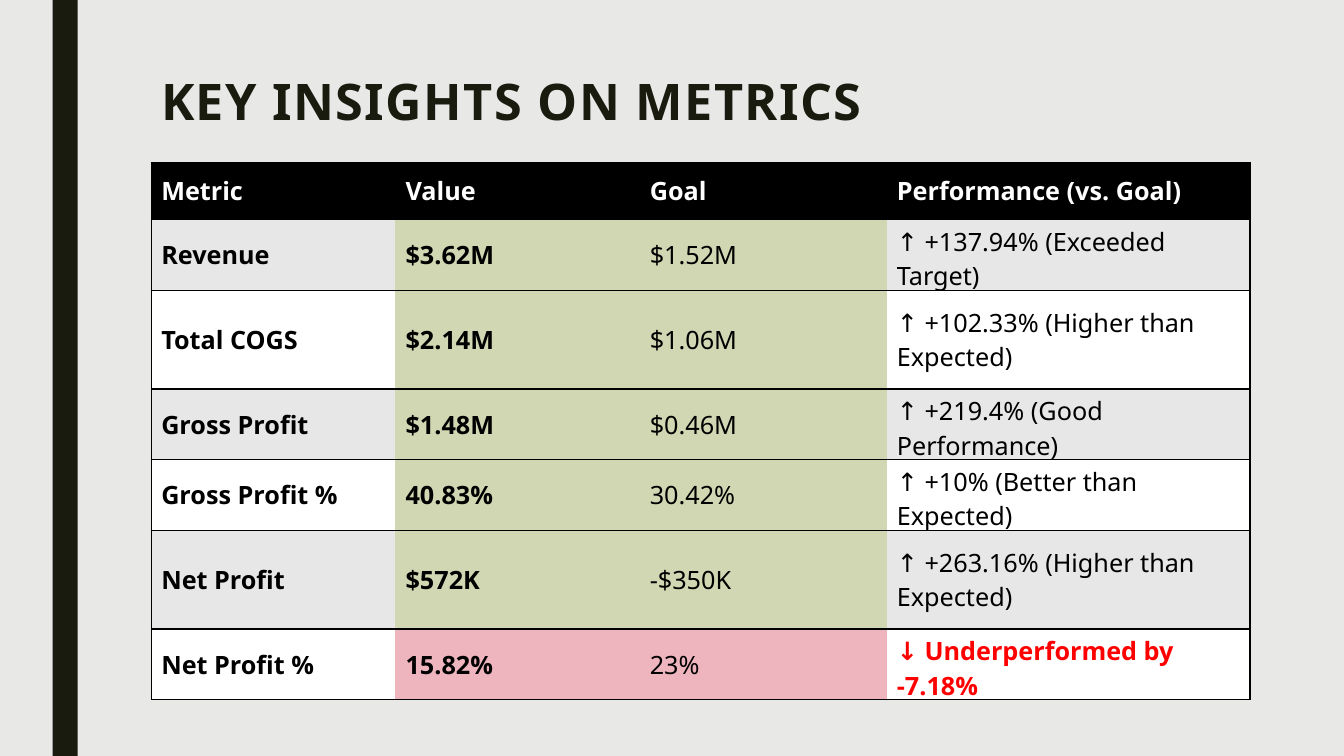
"""Build the key insights slide with its table of metrics against goals."""
from typing import NamedTuple

from lxml.etree import SubElement
from pptx import Presentation
from pptx.dml.color import RGBColor
from pptx.enum.shapes import MSO_SHAPE
from pptx.enum.text import MSO_ANCHOR
from pptx.oxml.ns import qn
from pptx.util import Pt

COLORS = {
    "background": "E8E8E7",
    "dark": "191B0E",
    "black": "000000",
    "white": "FFFFFF",
    "band": "E7E7E7",
    "good": "D1D7B2",
    "bad": "EEB5BF",
    "alert": "FF0000",
}
FONT_NAME = "Noto Sans"
COLUMN_WIDTHS = (174.5, 174.5, 176.5, 259.5)
ROW_HEIGHTS = (41, 41, 70.5, 41, 41, 70.5, 43)
HEADINGS = ("Metric", "Value", "Goal", "Performance (vs. Goal)")


class Metric(NamedTuple):
    name: str
    value: str
    goal: str
    performance: str
    on_target: bool = True


METRICS = (
    Metric("Revenue", "$3.62M", "$1.52M", "↑ +137.94% (Exceeded Target)"),
    Metric("Total COGS", "$2.14M", "$1.06M", "↑ +102.33% (Higher than Expected)"),
    Metric("Gross Profit", "$1.48M", "$0.46M", "↑ +219.4% (Good Performance)"),
    Metric("Gross Profit %", "40.83%", "30.42%", "↑ +10% (Better than Expected)"),
    Metric("Net Profit", "$572K", "-$350K", "↑ +263.16% (Higher than Expected)"),
    Metric("Net Profit %", "15.82%", "23%", "↓ Underperformed by -7.18%", False),
)


def rgb(name: str) -> RGBColor:
    return RGBColor.from_string(COLORS[name])


def set_fill(target, color: str) -> None:
    target.fill.solid()
    target.fill.fore_color.rgb = rgb(color)


def set_attributes(target, values: dict) -> None:
    for name, value in values.items():
        setattr(target, name, value)


def write_text(paragraph, text: str, size: float, color: str, bold: bool):
    run = paragraph.add_run()
    run.text = text
    set_attributes(run.font, {"name": FONT_NAME, "size": Pt(size), "bold": bold})
    run.font.color.rgb = rgb(color)
    return run


def set_borders(cell, column: int) -> None:
    visible = {"lnL": column == 0, "lnR": column == len(HEADINGS) - 1,
               "lnT": True, "lnB": True}
    properties = cell._tc.get_or_add_tcPr()
    for side, shown in visible.items():
        line = SubElement(properties, qn(f"a:{side}"), w=str(Pt(1)))
        if shown:
            fill = SubElement(line, qn("a:solidFill"))
            SubElement(fill, qn("a:srgbClr"), val=COLORS["black"])
        else:
            SubElement(line, qn("a:noFill"))


def fill_cell(cell, column: int, text: str, fill: str, color: str, bold: bool) -> None:
    set_borders(cell, column)
    set_fill(cell, fill)
    cell.vertical_anchor = MSO_ANCHOR.MIDDLE
    write_text(cell.text_frame.paragraphs[0], text, 18, color, bold)


def add_side_bar(slide) -> None:
    bar = slide.shapes.add_shape(MSO_SHAPE.RECTANGLE, Pt(37.5), Pt(0), Pt(18), Pt(540))
    bar.shadow.inherit = False
    set_fill(bar, "dark")
    bar.line.fill.background()


def add_title(slide) -> None:
    title = slide.shapes.add_textbox(Pt(108), Pt(54), Pt(764), Pt(60))
    set_attributes(title.text_frame, {
        "word_wrap": True, "vertical_anchor": MSO_ANCHOR.TOP, "margin_top": Pt(1)})
    paragraph = title.text_frame.paragraphs[0]
    paragraph.line_spacing = 0.89
    run = write_text(paragraph, "KEY INSIGHTS ON METRICS", 36, "dark", True)
    run.font._element.set("spc", "100")


def add_metrics_table(slide) -> None:
    table = slide.shapes.add_table(
        len(ROW_HEIGHTS), len(COLUMN_WIDTHS), Pt(108), Pt(116),
        Pt(sum(COLUMN_WIDTHS)), Pt(sum(ROW_HEIGHTS))).table
    for column, width in zip(table.columns, COLUMN_WIDTHS):
        column.width = Pt(width)
    for row, height in zip(table.rows, ROW_HEIGHTS):
        row.height = Pt(height)
    for column, heading in enumerate(HEADINGS):
        fill_cell(table.cell(0, column), column, heading, "black", "white", True)
    for row, metric in enumerate(METRICS, start=1):
        band = "band" if row % 2 else "white"
        status = "good" if metric.on_target else "bad"
        result_color = "black" if metric.on_target else "alert"
        styles = (
            (metric.name, band, "black", True),
            (metric.value, status, "black", True),
            (metric.goal, status, "black", False),
            (metric.performance, band, result_color, not metric.on_target),
        )
        for column, style in enumerate(styles):
            fill_cell(table.cell(row, column), column, *style)


def main() -> None:
    presentation = Presentation()
    set_attributes(presentation, {"slide_width": Pt(960), "slide_height": Pt(540)})
    slide = presentation.slides.add_slide(presentation.slide_layouts[6])
    set_fill(slide.background, "background")
    add_side_bar(slide)
    add_title(slide)
    add_metrics_table(slide)
    presentation.save("out.pptx")


if __name__ == "__main__":
    main()
